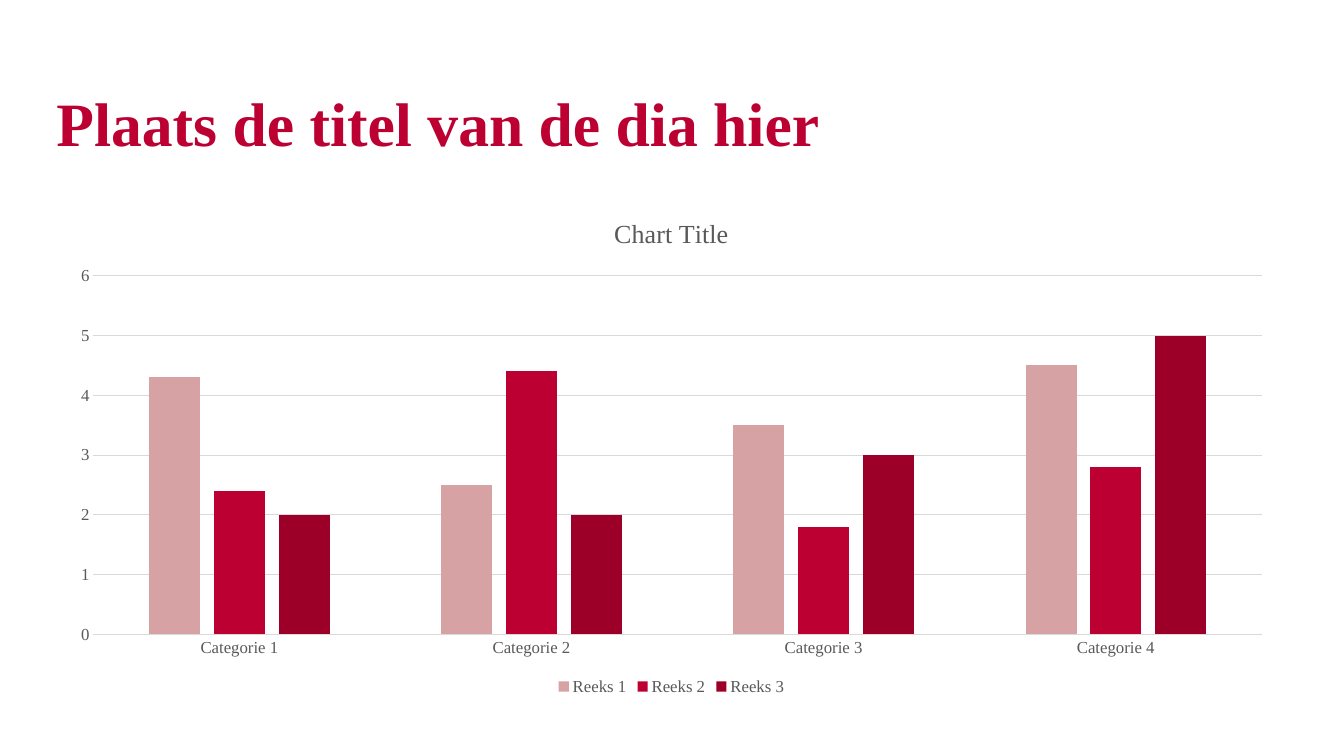
"""Build a slide with a title and a clustered column chart."""
from dataclasses import dataclass

from pptx import Presentation
from pptx.chart.data import CategoryChartData
from pptx.dml.color import RGBColor
from pptx.enum.chart import XL_CHART_TYPE as ChartType
from pptx.enum.chart import XL_LEGEND_POSITION as LegendPosition
from pptx.enum.chart import XL_TICK_MARK as TickMark
from pptx.enum.text import MSO_ANCHOR as Anchor
from pptx.enum.text import MSO_AUTO_SIZE as AutoSize
from pptx.enum.text import PP_ALIGN as Align
from pptx.util import Inches, Pt

FONT = "Times New Roman"
COLORS = {
    "background": "FFFFFF",
    "red": "BC0031",
    "pink": "D7A2A4",
    "dark red": "9C0029",
    "label": "595959",
    "grid": "D9D9D9",
}
SLIDE_WIDTH, SLIDE_HEIGHT = Inches(13.33), Inches(7.5)
COLUMN, ROW = SLIDE_WIDTH / 100, SLIDE_HEIGHT / 100
CATEGORIES = [f"Categorie {number}" for number in range(1, 5)]


@dataclass(frozen=True)
class Area:
    """A rectangle in grid columns and rows."""
    column: float
    row: float
    columns: float
    rows: float

    def box(self) -> tuple[int, int, int, int]:
        """Return left, top, width and height in EMU."""
        return (round(self.column * COLUMN), round(self.row * ROW),
                round(self.columns * COLUMN), round(self.rows * ROW))


@dataclass(frozen=True)
class Series:
    """One set of columns in the chart."""
    name: str
    values: tuple[float, ...]
    color: str


TITLE_AREA = Area(4.2, 10.4, 91.52, 12.67)
CHART_AREA = Area(4.2, 26.13, 91.52, 66.4)
SERIES = [
    Series("Reeks 1", (4.3, 2.5, 3.5, 4.5), "pink"),
    Series("Reeks 2", (2.4, 4.4, 1.8, 2.8), "red"),
    Series("Reeks 3", (2, 2, 3, 5), "dark red"),
]


def rgb(name: str) -> RGBColor:
    """Look up a named colour."""
    return RGBColor.from_string(COLORS[name])


def style_font(font, size: float, color: str, bold: bool = False) -> None:
    """Set typeface, size, colour and weight."""
    font.name = FONT
    font.size = Pt(size)
    font.bold = bold
    font.color.rgb = rgb(color)


def style_line(line) -> None:
    """Give a chart line the thin grid look."""
    line.color.rgb = rgb("grid")
    line.width = Pt(0.75)


def add_title(slide, text: str) -> None:
    """Fill and place the title placeholder."""
    title = slide.shapes.title
    title.left, title.top, title.width, title.height = TITLE_AREA.box()
    frame = title.text_frame
    frame.text = text
    frame.word_wrap = True
    frame.auto_size = AutoSize.NONE
    frame.vertical_anchor = Anchor.MIDDLE
    frame.margin_left = frame.margin_right = 0
    frame.margin_top = frame.margin_bottom = 0
    paragraph = frame.paragraphs[0]
    paragraph.alignment = Align.LEFT
    paragraph.line_spacing = 0.9
    style_font(paragraph.runs[0].font, 44, "red", bold=True)


def style_axes(chart) -> None:
    """Format both axes and the gridlines."""
    for axis in (chart.category_axis, chart.value_axis):
        axis.major_tick_mark = axis.minor_tick_mark = TickMark.NONE
        style_font(axis.tick_labels.font, 12, "label")
    style_line(chart.category_axis.format.line)
    values = chart.value_axis
    values.minimum_scale, values.maximum_scale, values.major_unit = 0, 6, 1
    values.format.line.fill.background()
    values.has_major_gridlines = True
    style_line(values.major_gridlines.format.line)


def add_column_chart(slide) -> None:
    """Draw the column chart with its title and legend."""
    data = CategoryChartData()
    data.categories = CATEGORIES
    for series in SERIES:
        data.add_series(series.name, series.values)
    chart = slide.shapes.add_chart(
        ChartType.COLUMN_CLUSTERED, *CHART_AREA.box(), data).chart
    style_font(chart.font, 10, "label")
    chart.has_title = True
    chart.chart_title.include_in_layout = False
    frame = chart.chart_title.text_frame
    frame.text = "Chart Title"
    style_font(frame.paragraphs[0].runs[0].font, 18.6, "label")
    chart.has_legend = True
    chart.legend.position = LegendPosition.BOTTOM
    chart.legend.include_in_layout = False
    style_font(chart.legend.font, 12, "label")
    style_axes(chart)
    plot = chart.plots[0]
    plot.gap_width, plot.overlap, plot.vary_by_categories = 219, -27, False
    for series, columns in zip(SERIES, plot.series):
        columns.format.fill.solid()
        columns.format.fill.fore_color.rgb = rgb(series.color)
        columns.invert_if_negative = False


def main() -> None:
    """Create and save the presentation."""
    presentation = Presentation()
    presentation.slide_width = SLIDE_WIDTH
    presentation.slide_height = SLIDE_HEIGHT
    slide = presentation.slides.add_slide(presentation.slide_layouts[5])
    slide.background.fill.solid()
    slide.background.fill.fore_color.rgb = rgb("background")
    add_title(slide, "Plaats de titel van de dia hier")
    add_column_chart(slide)
    presentation.save("out.pptx")


if __name__ == "__main__":
    main()
